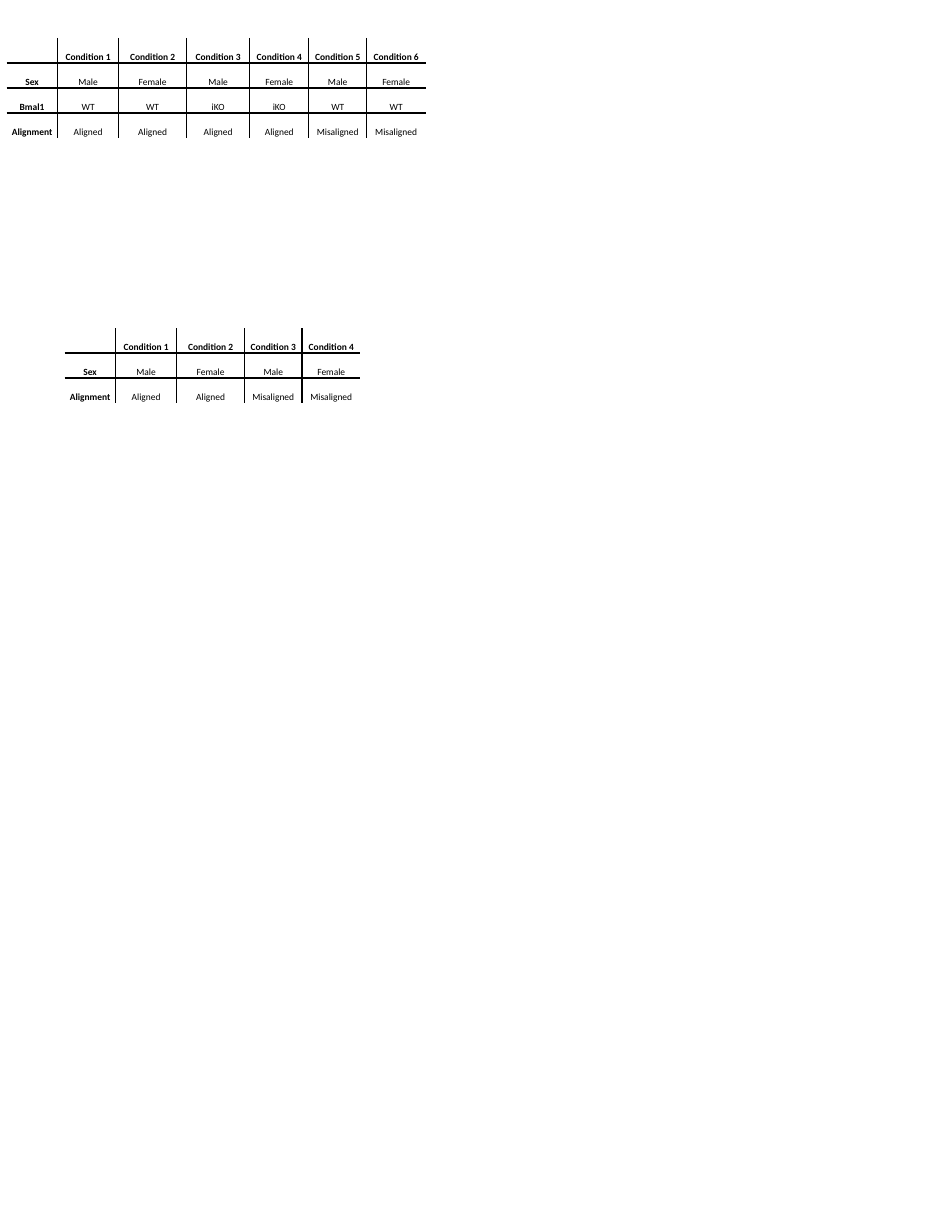
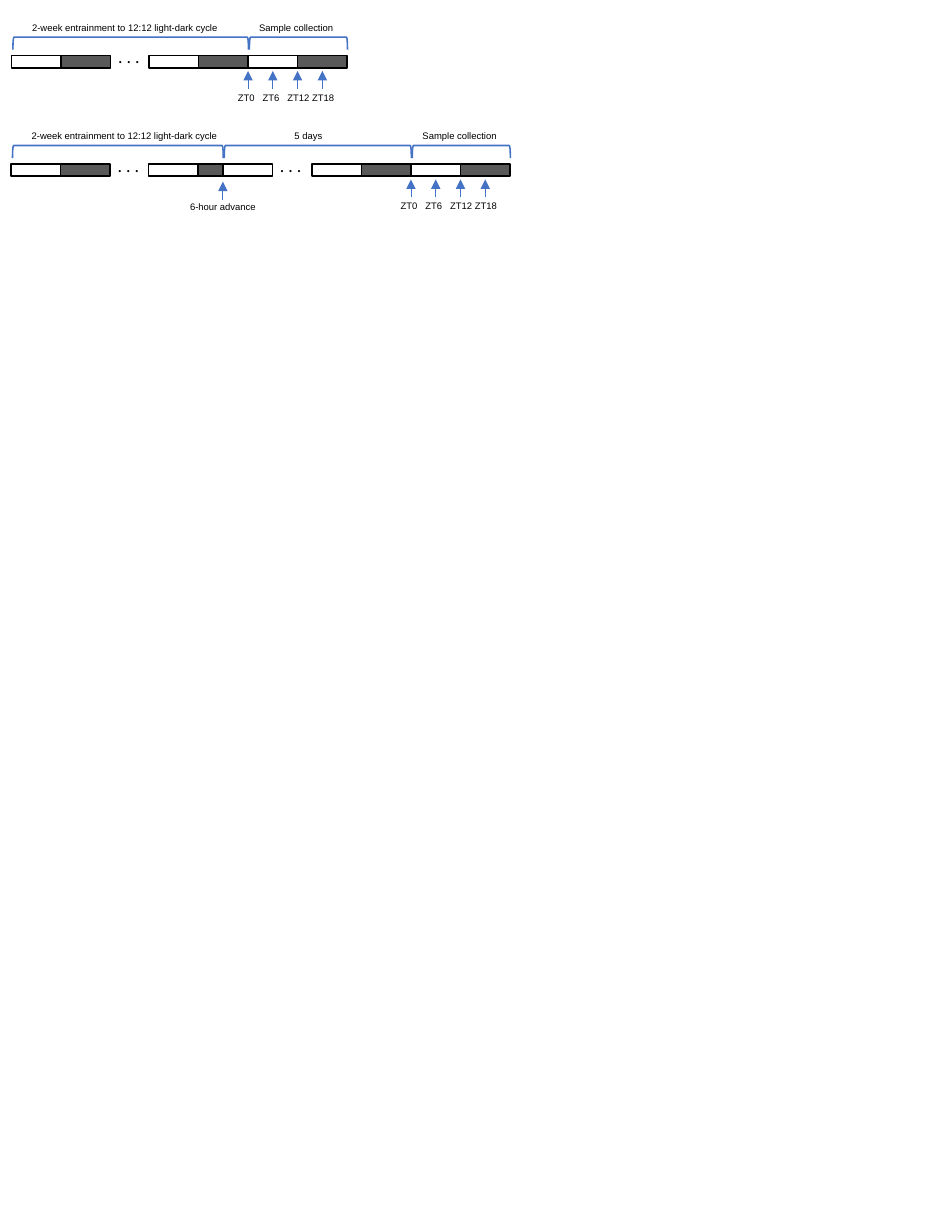
from itertools import pairwise

from lxml import etree
from pptx import Presentation
from pptx.dml.color import RGBColor
from pptx.enum import shapes, text
from pptx.oxml import ns
from pptx.util import Cm, Pt

BLACK = RGBColor(0x00, 0x00, 0x00)
DARK = RGBColor(0x59, 0x59, 0x59)
BLUE = RGBColor(0x44, 0x72, 0xC4)
TABLE_FONT, LABEL_FONT = "Calibri", "Arial"
SMALL = 6

# Tables: left, top, column widths (cm) and rows
TABLES = [
    (1.45, 7.35, [1.14, 1.37, 1.52, 1.29, 1.31], [
        ["", "Condition 1", "Condition 2", "Condition 3", "Condition 4"],
        ["Sex", "Male", "Female", "Male", "Female"],
        ["Alignment", "Aligned", "Aligned", "Misaligned", "Misaligned"],
    ]),
    (0.15, 0.85, [1.14, 1.37, 1.52, 1.42, 1.32, 1.3, 1.32], [
        ["", "Condition 1", "Condition 2", "Condition 3", "Condition 4",
         "Condition 5", "Condition 6"],
        ["Sex", "Male", "Female", "Male", "Female", "Male", "Female"],
        ["Bmal1", "WT", "WT", "iKO", "iKO", "WT", "WT"],
        ["Alignment", "Aligned", "Aligned", "Aligned", "Aligned",
         "Misaligned", "Misaligned"],
    ]),
]
ROW_HEIGHT = 0.56

# Timelines: runs are (left in cm, hours of alternating light and dark);
# marks are (run, hour) where brackets meet; phases are (label, left, width)
ENTRAINMENT = "2-week entrainment to 12:12 light-dark cycle"
TIMELINES = [
    {"top": 1.24,
     "runs": [(0.26, [12, 12]), (3.34, [12, 12, 12, 12])],
     "marks": [(0, 0), (1, 24), (1, 48)],
     "phases": [(ENTRAINMENT, 0.47, 6.53), ("Sample collection", 5.56, 2.3)],
     "advance": None},
    {"top": 3.67,
     "runs": [(0.25, [12, 12]), (3.33, [12, 6, 12]), (6.99, [12, 12, 12, 12])],
     "marks": [(0, 0), (1, 18), (2, 24), (2, 48)],
     "phases": [(ENTRAINMENT, 0.46, 6.53), ("5 days", 6.35, 1.22),
                ("Sample collection", 9.22, 2.3)],
     "advance": "6-hour advance"},
]
SAMPLES = ["ZT0", "ZT6", "ZT12", "ZT18"]
SAMPLE_START, SAMPLE_STEP = 24, 6
HOUR = 1.11 / 12
BAR_HEIGHT = 0.28
LABEL_HEIGHT = 0.5


def format_run(run, font_name, size, bold=False):
    run.font.name = font_name
    run.font.size = Pt(size)
    run.font.bold = bold
    run.font.color.rgb = BLACK


def set_borders(cell, visible_sides):
    properties = cell._tc.get_or_add_tcPr()
    for side in "LRTB":
        line = etree.SubElement(properties, ns.qn(f"a:ln{side}"), w=str(Pt(1)))
        if side in visible_sides:
            fill = etree.SubElement(line, ns.qn("a:solidFill"))
            etree.SubElement(fill, ns.qn("a:srgbClr"), val=str(BLACK))
        else:
            etree.SubElement(line, ns.qn("a:noFill"))


def add_condition_table(slide, left, top, widths, rows):
    """Add a table with inner grid lines only."""
    table = slide.shapes.add_table(
        len(rows), len(widths), Cm(left), Cm(top),
        Cm(sum(widths)), Cm(ROW_HEIGHT * len(rows))).table
    table.first_row = table.horz_banding = False
    for column, width in zip(table.columns, widths):
        column.width = Cm(width)
    last_row, last_column = len(rows) - 1, len(widths) - 1
    for row_index, row in enumerate(rows):
        table.rows[row_index].height = Cm(ROW_HEIGHT)
        for column_index, value in enumerate(row):
            cell = table.cell(row_index, column_index)
            inner = {"L": column_index > 0, "R": column_index < last_column,
                     "T": row_index > 0, "B": row_index < last_row}
            set_borders(cell, [side for side in inner if inner[side]])
            cell.fill.background()
            cell.margin_left = cell.margin_right = cell.margin_top = Cm(0.02)
            cell.margin_bottom = 0
            cell.vertical_anchor = text.MSO_ANCHOR.BOTTOM
            paragraph = cell.text_frame.paragraphs[0]
            paragraph.alignment = text.PP_ALIGN.CENTER
            if value:
                is_header = row_index == 0 or column_index == 0
                run = paragraph.add_run()
                run.text = value
                format_run(run, TABLE_FONT, SMALL, is_header)
            else:
                etree.SubElement(paragraph._p, ns.qn("a:endParaRPr"),
                                 sz=str(SMALL * 100))


def add_label(slide, label, left, top, width, font_name=LABEL_FONT, size=SMALL,
              height=LABEL_HEIGHT, alignment=text.PP_ALIGN.LEFT):
    frame = slide.shapes.add_textbox(
        Cm(left), Cm(top), Cm(width), Cm(height)).text_frame
    frame.word_wrap = True
    frame.text = label
    frame.paragraphs[0].alignment = alignment
    format_run(frame.paragraphs[0].runs[0], font_name, size)


def add_bar(slide, left, top, width, is_dark):
    bar = slide.shapes.add_shape(shapes.MSO_SHAPE.RECTANGLE, Cm(left), Cm(top),
                                 Cm(width), Cm(BAR_HEIGHT))
    bar.shadow.inherit = False
    if is_dark:
        bar.fill.solid()
        bar.fill.fore_color.rgb = DARK
    else:
        bar.fill.background()
    bar.line.color.rgb = BLACK
    bar.line.width = Pt(1)


def add_bracket(slide, start, end, top):
    """Add a bracket opening downwards; it is placed before its rotation."""
    depth, span = 0.28, end - start
    bracket = slide.shapes.add_shape(
        shapes.MSO_SHAPE.RIGHT_BRACKET, Cm((start + end - depth) / 2),
        Cm(top + (depth - span) / 2), Cm(depth), Cm(span))
    bracket.rotation = 270
    bracket.shadow.inherit = False
    bracket.fill.background()
    bracket.line.color.rgb = BLUE
    bracket.line.width = Pt(1)


def add_up_arrow(slide, x, tip):
    arrow = slide.shapes.add_connector(
        shapes.MSO_CONNECTOR.STRAIGHT, Cm(x), Cm(tip + 0.4), Cm(x), Cm(tip))
    arrow.line.color.rgb = BLUE
    arrow.line.width = Pt(0.5)
    etree.SubElement(arrow.line._get_or_add_ln(), ns.qn("a:tailEnd"),
                     type="triangle")
    etree.SubElement(arrow._element.spPr, ns.qn("a:effectLst"))


def add_timeline(slide, timeline):
    top, runs = timeline["top"], timeline["runs"]
    for run_index, (left, periods) in enumerate(runs):
        for period_index, hours in enumerate(periods):
            add_bar(slide, left, top, hours * HOUR, period_index % 2 == 1)
            left += hours * HOUR
        if run_index < len(runs) - 1:
            add_label(slide, ". . .", left - 0.08, top - 0.33, 1.12,
                      TABLE_FONT, 11.3, height=0.74)

    marks = [runs[run][0] + hour * HOUR for run, hour in timeline["marks"]]
    for start, end in pairwise(marks):
        add_bracket(slide, start + 0.03, end + 0.01, top - 0.41)
    for label, left, width in timeline["phases"]:
        add_label(slide, label, left, top - 0.88, width)

    for index, label in enumerate(SAMPLES):
        x = runs[-1][0] + (SAMPLE_START + index * SAMPLE_STEP) * HOUR
        add_up_arrow(slide, x, top + 0.35)
        add_label(slide, label, x - 0.48, top + 0.69, 1.22)
    if timeline["advance"]:
        add_up_arrow(slide, marks[1], top + 0.4)
        add_label(slide, timeline["advance"], marks[1] - 1, top + 0.7, 2,
                  alignment=text.PP_ALIGN.CENTER)


def main():
    presentation = Presentation()
    presentation.slide_width, presentation.slide_height = Cm(21), Cm(27.6)
    blank = presentation.slide_layouts[6]

    table_slide = presentation.slides.add_slide(blank)
    for table in TABLES:
        add_condition_table(table_slide, *table)

    timeline_slide = presentation.slides.add_slide(blank)
    for timeline in TIMELINES:
        add_timeline(timeline_slide, timeline)

    presentation.save("out.pptx")


if __name__ == "__main__":
    main()
